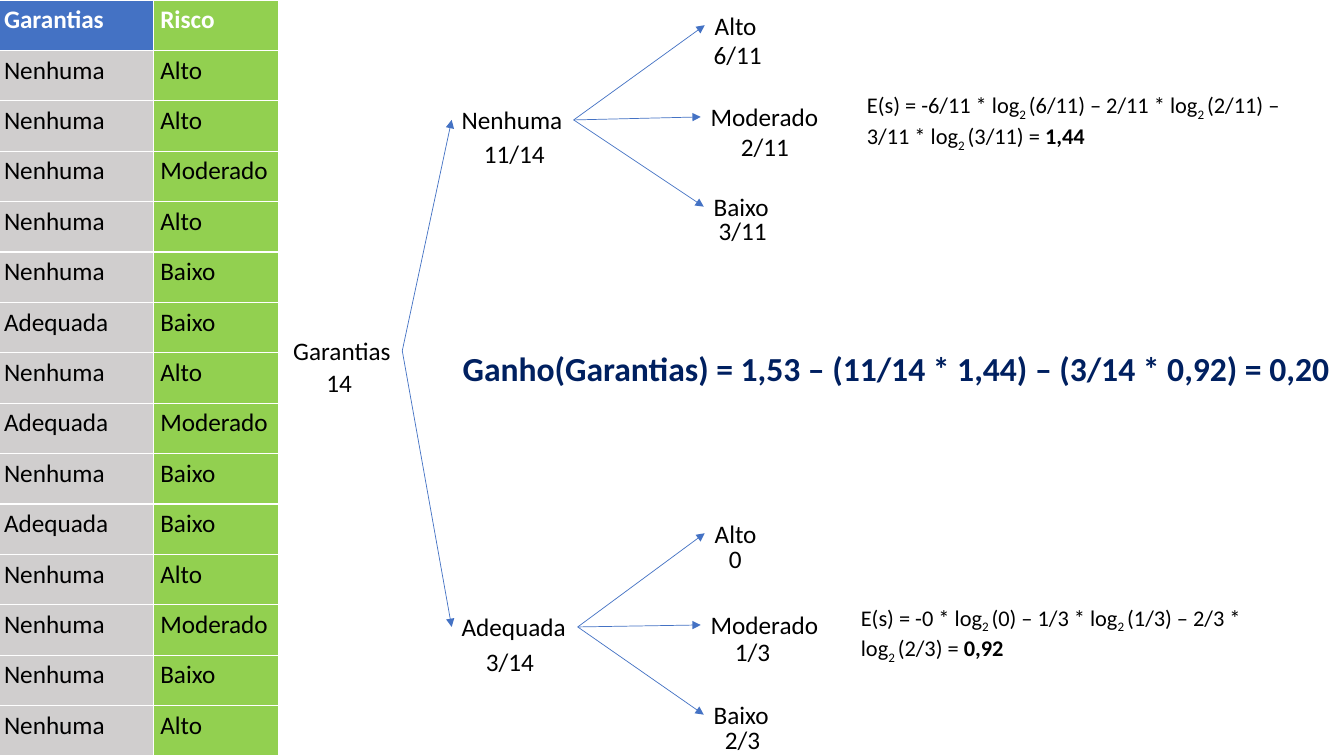
from lxml import etree
from pptx import Presentation
from pptx import util as u
from pptx.dml.color import RGBColor
from pptx.enum import shapes, text
from pptx.oxml.ns import qn

HUES = {"black": "000000", "white": "FFFFFF", "blue": "4472C4",
        "navy": "002060", "green": "92D050", "gray": "D0CECE"}


class Board:
    """Draws styled elements on one slide, with lengths in px."""

    scale = 9144
    face = "Calibri"

    def __init__(self, deck):
        deck.slide_width, deck.slide_height = self.px(1333), self.px(750)
        self.slide = deck.slides.add_slide(deck.slide_layouts[6])

    def px(self, size):
        return u.Emu(size * self.scale)

    def hue(self, name):
        return RGBColor.from_string(HUES[name])

    def style(self, para, size=18, color="black", bold=False):
        for run in para.runs:
            run.font.name = self.face
            run.font.size = u.Pt(size)
            run.font.bold = bold
            run.font.color.rgb = self.hue(color)

    def box(self, x, y, w, h, wrap):
        item = self.slide.shapes.add_textbox(*map(self.px, (x, y, w, h)))
        item.text_frame.word_wrap = wrap
        item.text_frame.auto_size = text.MSO_AUTO_SIZE.SHAPE_TO_FIT_TEXT
        return item

    def label(self, words, x, y, w, h=40, wrap=False, **look):
        item = self.box(x, y, w, h, wrap)
        item.text_frame.text = words
        self.style(item.text_frame.paragraphs[0], **look)
        return item

    def formula(self, parts, result, x, y, w):
        para = self.box(x, y, w, 64, True).text_frame.paragraphs[0]
        for i, part in enumerate(parts):
            if i:
                para.add_run().text = "2 "
            para.add_run().text = part
        para.add_run().text = result
        self.style(para, size=16)
        for run in para.runs[1:-1:2]:
            run.font._element.set("baseline", "-25000")
        para.runs[-1].font.bold = True

    def arrow(self, start, end):
        line = self.slide.shapes.add_connector(
            shapes.MSO_CONNECTOR.STRAIGHT, 0, 0, 0, 0)
        line.begin_connect(start, 3)
        line.end_connect(end, 1)
        line.line.color.rgb = self.hue("blue")
        line.line.width = u.Pt(0.5)
        tail = etree.SubElement(line.line._get_or_add_ln(), qn("a:tailEnd"))
        tail.set("type", "triangle")
        etree.SubElement(line._element.spPr, qn("a:effectLst"))

    def table(self, rows, x, y, widths, high):
        grid = self.slide.shapes.add_table(
            len(rows), len(widths), self.px(x), self.px(y),
            self.px(sum(widths)), self.px(high * len(rows))).table
        for col, width in zip(grid.columns, widths):
            col.width = self.px(width)
        for r, row in enumerate(rows):
            for c, words in enumerate(row):
                fill = "green" if c else "gray" if r else "blue"
                self.cell(grid.cell(r, c), words, fill, head=r == 0)

    def cell(self, cell, words, fill, head):
        cell.fill.solid()
        cell.fill.fore_color.rgb = self.hue(fill)
        cell.margin_left = cell.margin_right = self.px(7)
        cell.margin_top = cell.margin_bottom = 0
        cell.text_frame.text = words
        para = cell.text_frame.paragraphs[0]
        para.line_spacing = 1.15
        self.style(para, color="white" if head else "black", bold=head)


def main():
    deck = Presentation()
    board = Board(deck)

    none, good = "Nenhuma", "Adequada"
    high, mid, low = "Alto", "Moderado", "Baixo"
    rows = [("Garantias", "Risco"),
            (none, high), (none, high), (none, mid), (none, high),
            (none, low), (good, low), (none, high), (good, mid),
            (none, low), (good, low), (none, high), (none, mid),
            (none, low), (none, high)]
    board.table(rows, -3, 0, (155, 124), 50)

    root = board.label("Garantias", 281, 328, 118)
    board.label("14", 314, 359, 46)

    risks = [(high, 699, 5, 62), (mid, 695, 96, 128), (low, 698, 185, 75)]
    trees = [
        (0, (none, 448, 99, 121), ("11/14", 470, 132, 81),
         [("6/11", 698, 34, 85), ("2/11", 725, 125, 75),
          ("3/11", 703, 209, 91)]),
        (504, (good, 448, 602, 125), ("3/14", 472, 636, 68),
         [("0", 713, 534, 62), ("1/3", 719, 626, 62),
          ("2/3", 709, 714, 62)])]
    for drop, name, share, odds in trees:
        node = board.label(*name)
        board.label(*share)
        board.arrow(root, node)
        for (risk, x, y, w), odd in zip(risks, odds):
            leaf = board.label(risk, x, y + drop, w)
            board.arrow(node, leaf)
            board.label(*odd, wrap=True)

    board.formula(["E(s) = -6/11 * log", "(6/11) – 2/11 * log",
                   "(2/11) – 3/11 * log", "(3/11) = "], "1,44", 850, 86, 457)
    board.formula(["E(s) = -0 * log", "(0) – 1/3 * log",
                   "(1/3) – 2/3 * log", "(2/3) = "], "0,92", 844, 594, 427)
    board.label(
        "Ganho(Garantias) = 1,53 – (11/14 * 1,44) – (3/14 * 0,92) = 0,20",
        449, 340, 880, 50, wrap=True, size=24, color="navy", bold=True)

    deck.save("out.pptx")


if __name__ == "__main__":
    main()
